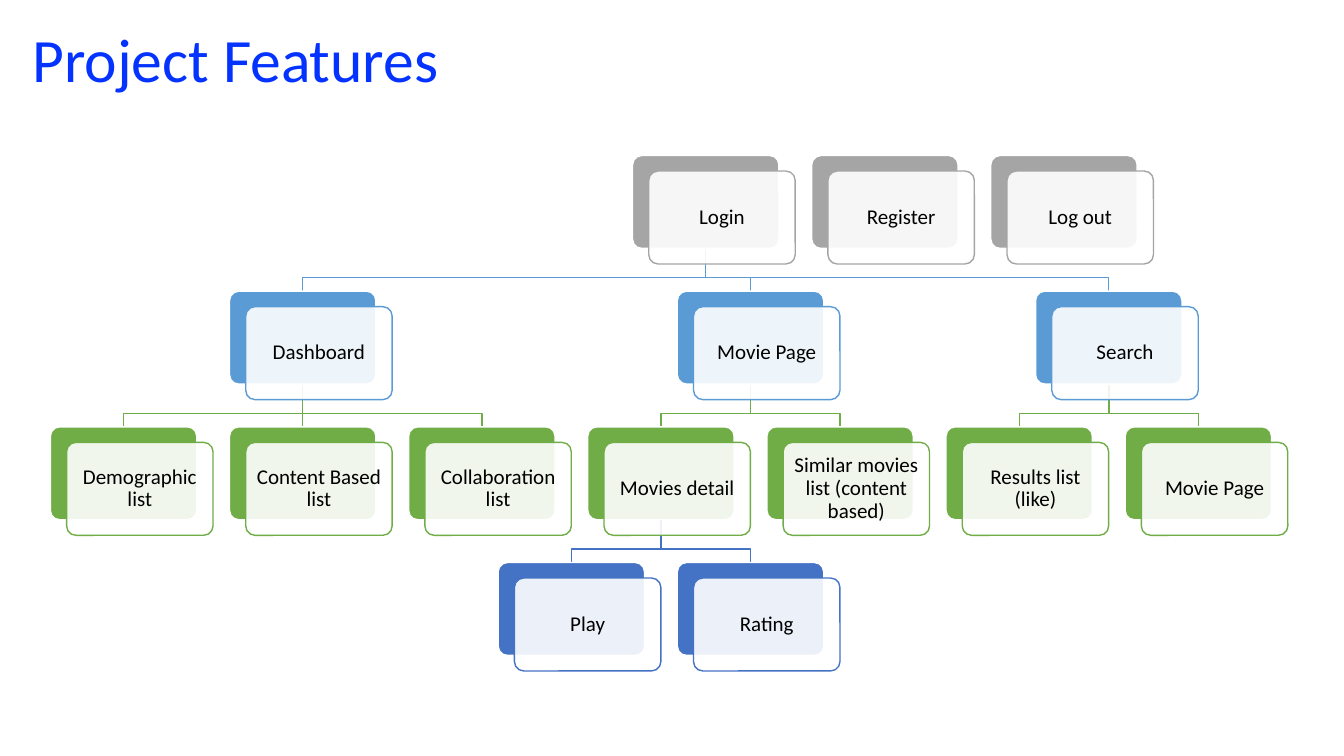
from pptx import Presentation
from pptx.dml.color import RGBColor
from pptx.enum.shapes import MSO_CONNECTOR, MSO_SHAPE
from pptx.enum.text import MSO_ANCHOR, PP_ALIGN
from pptx.oxml.ns import qn
from pptx.util import Pt
from lxml import etree

ROUND = MSO_SHAPE.ROUNDED_RECTANGLE
LINE = MSO_CONNECTOR.STRAIGHT
MID = MSO_ANCHOR.MIDDLE
LEFT, CENTER = PP_ALIGN.LEFT, PP_ALIGN.CENTER

HEX = {"title": "0432FF", "text": "000000", "white": "FFFFFF",
       "gray": "A5A5A5", "sky": "5B9BD5", "green": "70AD47", "blue": "4472C4"}
RGB = {name: RGBColor.from_string(code) for name, code in HEX.items()}
ROWS = ["gray", "sky", "green", "blue"]

# Grid of cards
X, Y = 36, 111.1
STEP_X, STEP_Y = 127.95, 96.9
W, H = 104.6, 66.4
OFF_X, OFF_Y = 11.6, 11.1
TURN = 20.8

# Text, row, column, column of the parent in the row above
CARDS = [
    ("Login", 0, 3.25, None),
    ("Register", 0, 4.25, None),
    ("Log out", 0, 5.25, None),
    ("Dashboard", 1, 1, 3.25),
    ("Movie Page", 1, 3.5, 3.25),
    ("Search", 1, 5.5, 3.25),
    ("Demographic list", 2, 0, 1),
    ("Content Based list", 2, 1, 1),
    ("Collaboration list", 2, 2, 1),
    ("Movies detail", 2, 3, 3.5),
    ("Similar movies list (content based)", 2, 4, 3.5),
    ("Results list (like)", 2, 5, 5.5),
    ("Movie Page", 2, 6, 5.5),
    ("Play", 3, 2.5, 3),
    ("Rating", 3, 3.5, 3),
]


def write(shape, text, size, color="text", align=CENTER, inset=None):
    frame = shape.text_frame
    frame.word_wrap = True
    frame.vertical_anchor = MID
    if inset is not None:
        frame.margin_left = frame.margin_right = Pt(inset)
        frame.margin_top = frame.margin_bottom = Pt(inset)
    para = frame.paragraphs[0]
    para.alignment = align
    para.line_spacing = 0.9
    run = para.add_run()
    run.text = text
    run.font.size = Pt(size)
    run.font.name = "Calibri"
    run.font.color.rgb = RGB[color]


def panel(left, top, fill, line):
    shape = slide.shapes.add_shape(ROUND, Pt(left), Pt(top), Pt(W), Pt(H))
    shape.adjustments[0] = 0.1
    shape.shadow.inherit = False
    shape.fill.solid()
    shape.fill.fore_color.rgb = RGB[fill]
    shape.line.color.rgb = RGB[line]
    shape.line.width = Pt(1)
    return shape


deck = Presentation()
deck.slide_width, deck.slide_height = Pt(960), Pt(540)
slide = deck.slides.add_slide(deck.slide_layouts[5])

# Title
title = slide.shapes.title
title.left, title.top, title.width, title.height = Pt(16), Pt(8), Pt(828), Pt(74)
write(title, "Project Features", 44, color="title", align=LEFT)

# Branches, behind the cards
for text, row, col, above in CARDS:
    if above is None:
        continue
    start = X + above * STEP_X + W / 2
    end = X + col * STEP_X + W / 2
    foot = Y + (row - 1) * STEP_Y + H
    head = Y + row * STEP_Y
    if start == end:
        branch = slide.shapes.add_connector(LINE, Pt(start), Pt(foot), Pt(end), Pt(head))
        etree.SubElement(branch._element.spPr, qn("a:effectLst"))
    else:
        path = slide.shapes.build_freeform(Pt(start), Pt(foot))
        bends = [(start, foot + TURN), (end, foot + TURN), (end, head)]
        path.add_line_segments([(Pt(x), Pt(y)) for x, y in bends], close=False)
        branch = path.convert_to_shape()
        branch.shadow.inherit = False
        branch.fill.background()
    branch.line.color.rgb = RGB[ROWS[row]]
    branch.line.width = Pt(1)

# Cards: a solid back and a translucent front that holds the text
for text, row, col, above in CARDS:
    left, top = X + col * STEP_X, Y + row * STEP_Y
    panel(left, top, ROWS[row], "white")
    front = panel(left + OFF_X, top + OFF_Y, "white", ROWS[row])
    tint = front._element.spPr.find(qn("a:solidFill"))[0]
    etree.SubElement(tint, qn("a:alpha"), val="90000")
    write(front, text, 15, inset=4.4)

deck.save("out.pptx")
